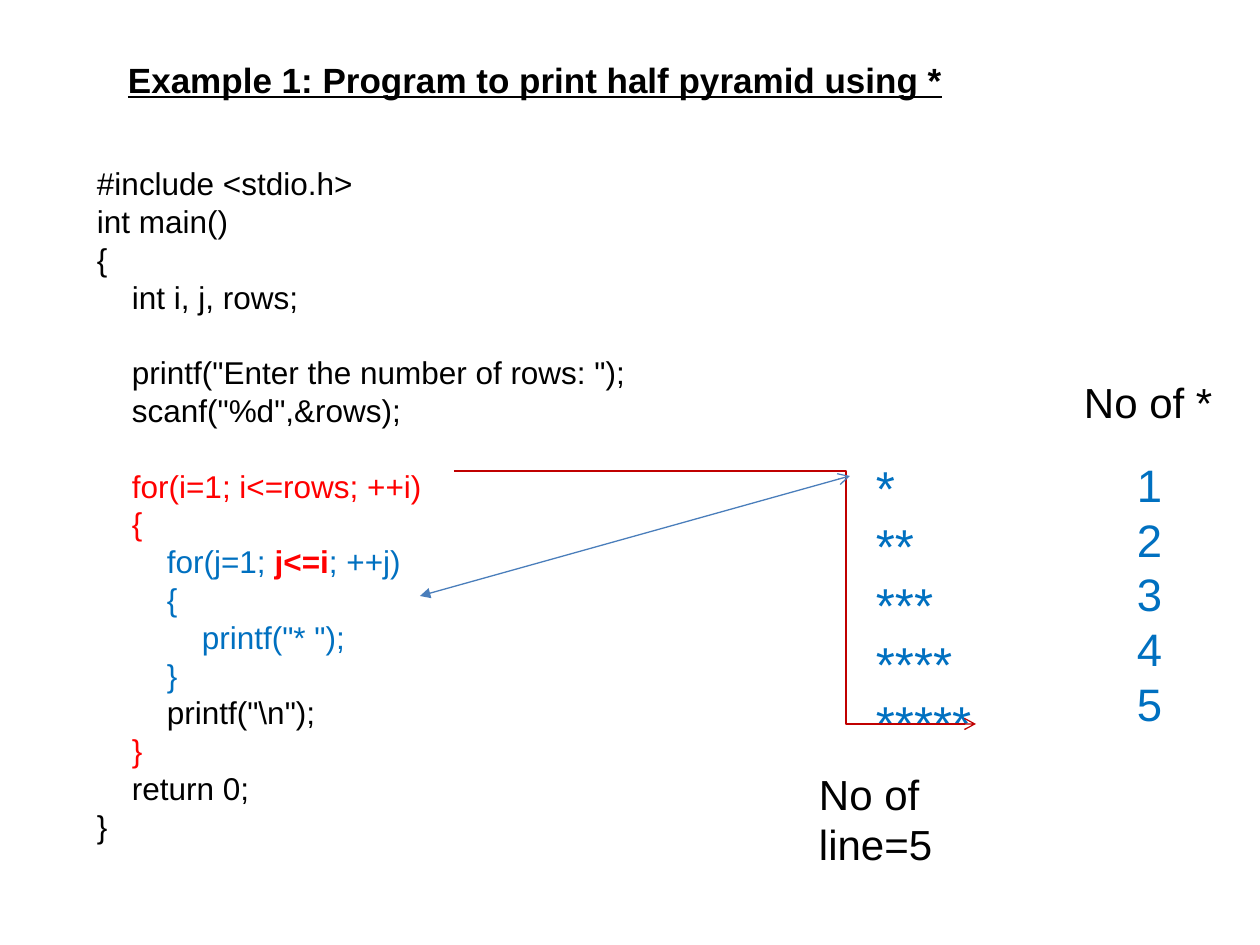
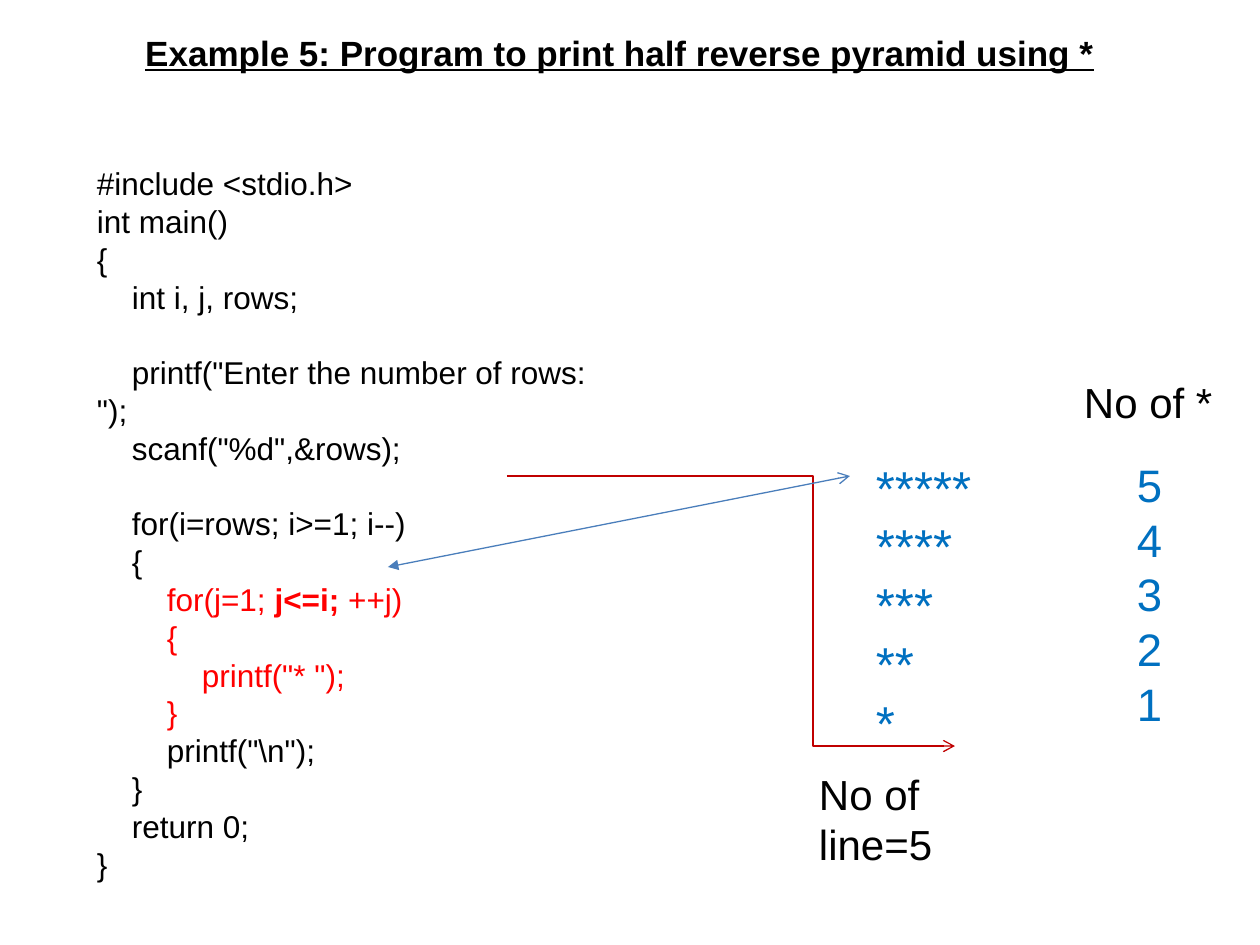
"""Build two slides that explain star pyramid programs in C."""
from lxml import etree
from pptx import Presentation
from pptx.dml.color import RGBColor
from pptx.enum.shapes import MSO_CONNECTOR as Connector
from pptx.enum.text import PP_ALIGN as Align
from pptx.oxml.ns import qn
from pptx.util import Pt

BLACK, RED, BLUE = "000000", "FF0000", "0070C0"
BRACKET_RED, ARROW_BLUE = "C00000", "4A7EBB"
FONT = "Arial"
EMU_PER_PX = 914400 / 126
LINE_HEIGHT = 1.2

OPENING = [
    "#include <stdio.h>",
    "int main()",
    "{",
    "    int i, j, rows;",
    "",
    '    printf("Enter the number of rows: ");',
    '    scanf("%d",&rows);',
    "",
]
CLOSING = ["    return 0;", "}"]


def inner_loop(colour, condition, rest):
    """Return the lines of the loop that prints one row of stars."""
    return [
        [("        for(j=1; ", colour, False), (condition, RED, True), (rest, colour, False)],
        [("        {", colour, False)],
        [('            printf("* ");', colour, False)],
        [("        }", colour, False)],
        '        printf("\\n");',
    ]


EXAMPLES = [
    {
        "title": "Example 1: Program to print half pyramid using *",
        "title_box": (115, 52, 1071, 55),
        "title_align": Align.LEFT,
        "code_box": (84, 158, 598, 693),
        "code": OPENING
        + [[("    for(i=1; i<=rows; ++i)", RED, False)], [("    {", RED, False)]]
        + inner_loop(BLUE, "j<=i", "; ++j)")
        + [[("    }", RED, False)]]
        + CLOSING,
        "star_counts": [1, 2, 3, 4, 5],
        "bracket": ((454, 471), (976, 724)),
        "bracket_bend": 846,
        "arrow_start": (420, 596),
    },
    {
        "title": "Example 5: Program to print half reverse pyramid using *",
        "title_box": (84, 25, 1071, 55),
        "title_align": Align.CENTER,
        "code_box": (84, 158, 552, 731),
        "code": OPENING
        + ["    for(i=rows; i>=1; i--)", "    {"]
        + inner_loop(RED, "j<=i; ", "++j)")
        + ["    }"]
        + CLOSING,
        "star_counts": [5, 4, 3, 2, 1],
        "bracket": ((507, 476), (955, 746)),
        "bracket_bend": 813,
        "arrow_start": (388, 567),
    },
]

STARS_BOX = (809, 451, 242, 307)
COUNTS_BOX = (1074, 451, 121, 286)
COUNTS_LABEL_BOX = (1071, 370, 168, 63)
LINES_LABEL_BOX = (806, 762, 242, 113)
ARROW_END = (850, 476)


def px(length):
    """Turn pixels into EMU."""
    return round(length * EMU_PER_PX)


def rgb(value):
    """Turn a hex string into a colour."""
    return RGBColor.from_string(value)


def add_text(slide, place, lines, size=18, colour=BLACK, bold=False, underline=False,
             align=Align.LEFT, inset=13):
    """Add a text box; an empty line becomes space before the next one."""
    frame = slide.shapes.add_textbox(*map(px, place)).text_frame
    frame.word_wrap = True
    frame.margin_left = px(inset)
    gap, para = 0, None
    for line in lines:
        if not line:
            gap += size * LINE_HEIGHT
            continue
        para = frame.add_paragraph() if para else frame.paragraphs[0]
        para.alignment = align
        para.line_spacing = Pt(size * LINE_HEIGHT)
        if gap:
            para.space_before = Pt(gap)
            gap = 0
        spans = [(line, colour, bold)] if isinstance(line, str) else line
        for text, span_colour, span_bold in spans:
            span = para.add_run()
            span.text = text
            font = span.font
            font.name, font.size = FONT, Pt(size)
            font.bold, font.underline = span_bold, underline
            font.color.rgb = rgb(span_colour)


def add_line(slide, kind, start, end, colour, head=None, tail=None):
    """Add a thin connector with arrowheads and no shadow."""
    line = slide.shapes.add_connector(kind, *map(px, start + end))
    line.line.color.rgb = rgb(colour)
    line.line.width = Pt(0.75)
    properties = line.line._get_or_add_ln()
    for tag, arrowhead in (("a:headEnd", head), ("a:tailEnd", tail)):
        if arrowhead:
            etree.SubElement(properties, qn(tag), type=arrowhead)
    etree.SubElement(line._element.spPr, qn("a:effectLst"))
    return line


def add_bracket(slide, start, end, bend):
    """Add an elbow arrow that turns at the given x position."""
    line = add_line(slide, Connector.ELBOW, start, end, BRACKET_RED, tail="arrow")
    geometry = line._element.spPr.find(qn("a:prstGeom"))
    guides = geometry.find(qn("a:avLst"))
    if guides is None:
        guides = etree.SubElement(geometry, qn("a:avLst"))
    share = round((bend - start[0]) / (end[0] - start[0]) * 100000)
    etree.SubElement(guides, qn("a:gd"), name="adj1", fmla=f"val {share}")


def add_example(deck, example):
    """Add one slide with its program and the pattern it prints."""
    slide = deck.slides.add_slide(deck.slide_layouts[6])
    counts = example["star_counts"]
    add_text(slide, example["title_box"], [example["title"]], size=20, bold=True,
             underline=True, align=example["title_align"])
    add_text(slide, example["code_box"], example["code"])
    add_text(slide, STARS_BOX, ["*" * count for count in counts], size=28,
             colour=BLUE, inset=67)
    add_bracket(slide, *example["bracket"], example["bracket_bend"])
    add_line(slide, Connector.STRAIGHT, example["arrow_start"], ARROW_END, ARROW_BLUE,
             head="triangle", tail="arrow")
    add_text(slide, LINES_LABEL_BOX, [f"No of line={len(counts)}"], size=24)
    add_text(slide, COUNTS_LABEL_BOX, ["No of *"], size=24)
    add_text(slide, COUNTS_BOX, [str(count) for count in counts], size=26,
             colour=BLUE, inset=63)


def main():
    """Build and save the deck."""
    deck = Presentation()
    deck.slide_width, deck.slide_height = px(1260), px(945)
    for example in EXAMPLES:
        add_example(deck, example)
    deck.save("out.pptx")


if __name__ == "__main__":
    main()
